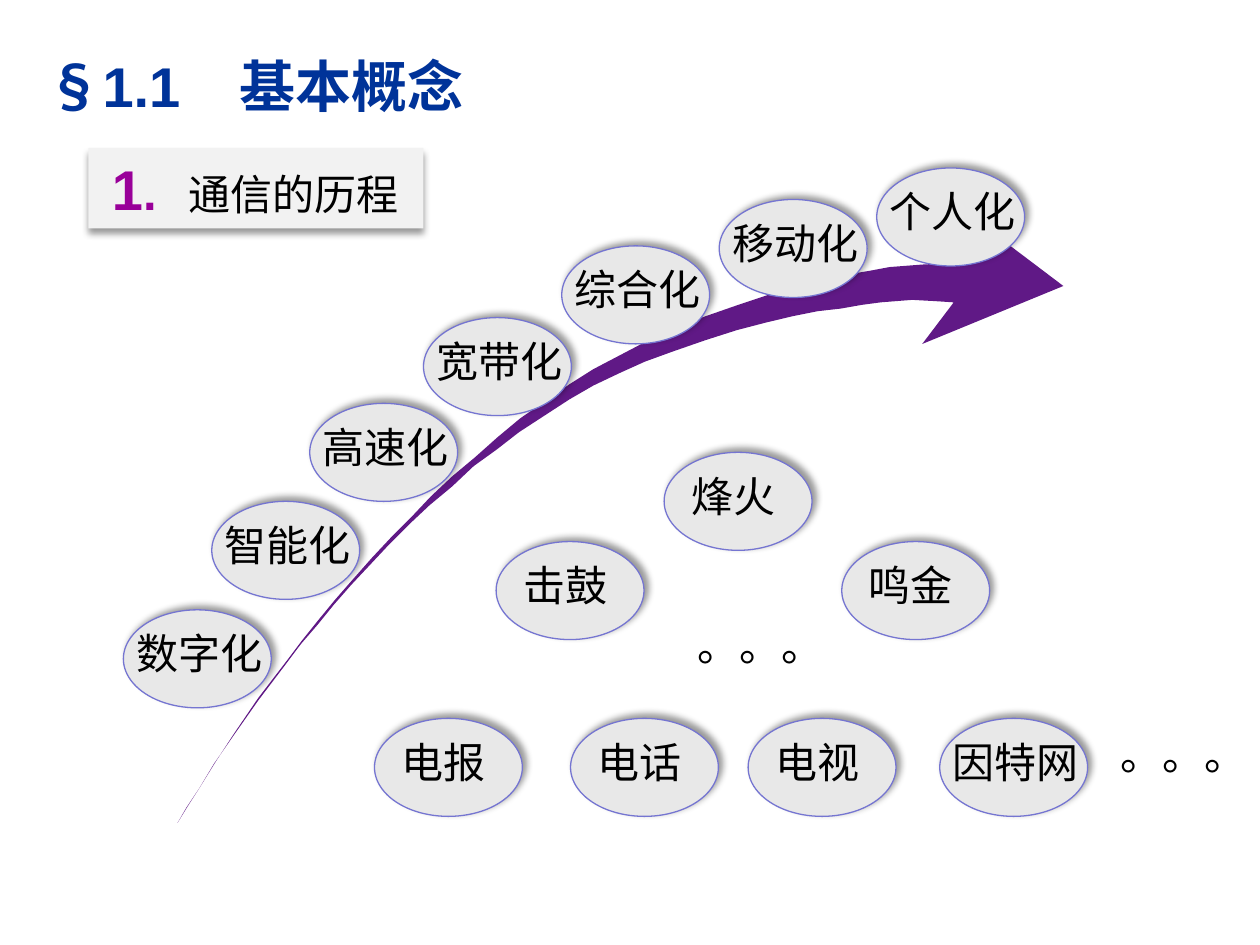
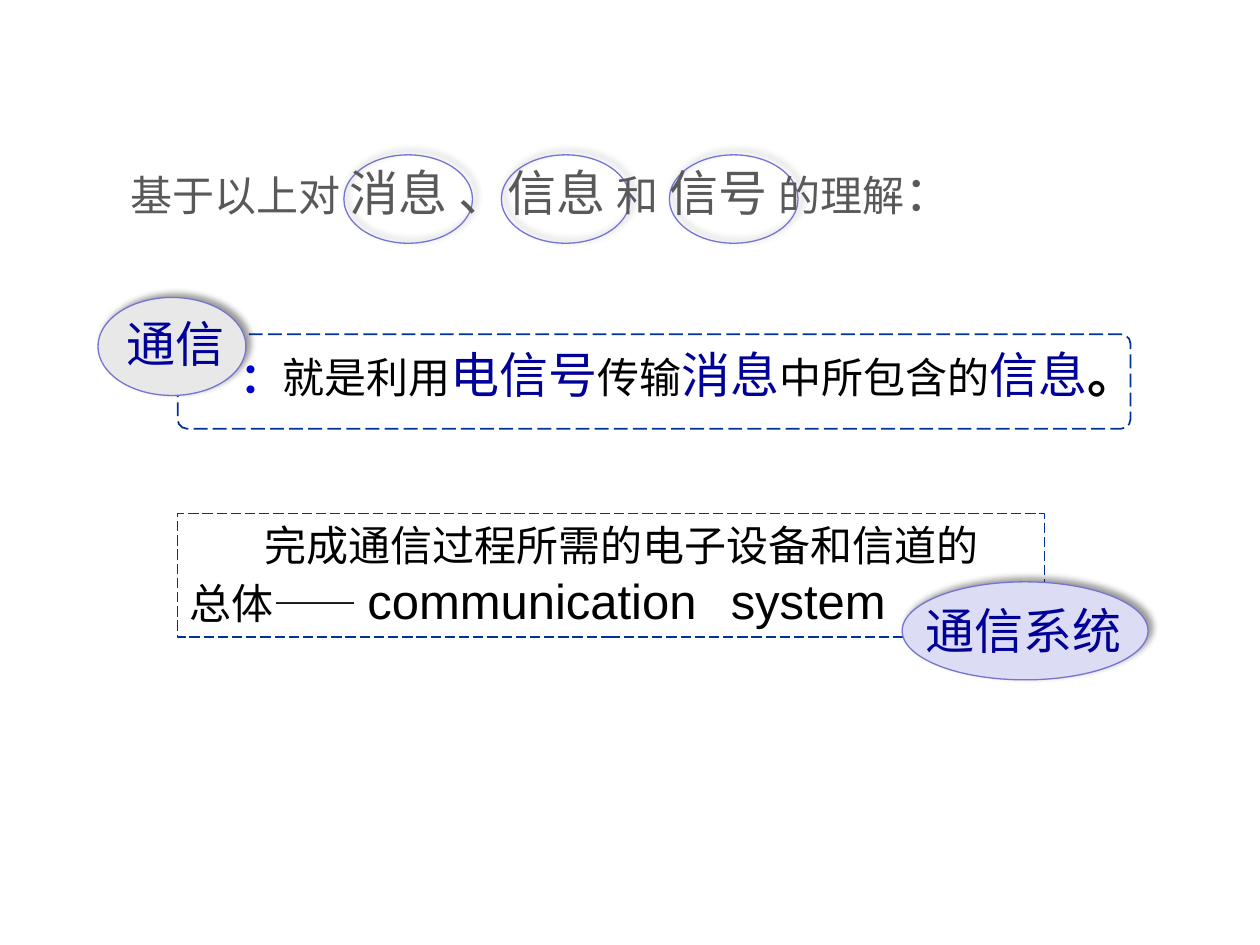
from lxml import etree
from pptx import Presentation
from pptx.dml.color import RGBColor
from pptx.enum import dml, shapes, text
from pptx.oxml import ns
from pptx.util import Pt

NAVY = RGBColor(0x00, 0x33, 0x99)
INK = RGBColor(0x00, 0x00, 0x99)
BLUE = RGBColor(0x00, 0x00, 0xCC)
BLACK = RGBColor(0, 0, 0)
GREY = RGBColor(0x59, 0x59, 0x59)
WHITE = RGBColor(255, 255, 255)
SILVER = RGBColor(0xE8, 0xE8, 0xE8)
PALE = RGBColor(0xF2, 0xF2, 0xF2)
LILAC = RGBColor(0xDC, 0xDC, 0xF4)
EDGE = RGBColor(0x75, 0x75, 0xD1)
PLUM = RGBColor(0x99, 0x00, 0x99)
PURPLE = RGBColor(0x60, 0x19, 0x86)
HAN, LATIN, ROUND = "Noto Sans CJK SC", "Arial", "Cabin"
OVAL = shapes.MSO_SHAPE.OVAL
CENTER = text.PP_ALIGN.CENTER


def draw(slide, kind, box, fill=None, edge=EDGE, wide=0.75, angle=None):
    """Add a preset shape; angle is the direction of its shadow."""
    shape = slide.shapes.add_shape(kind, *[Pt(v) for v in box])
    shape.shadow.inherit = False
    if fill is None:
        shape.fill.background()
    else:
        shape.fill.solid()
        shape.fill.fore_color.rgb = fill
    if edge is None:
        shape.line.fill.background()
    else:
        shape.line.color.rgb = edge
        shape.line.width = Pt(wide)
    if angle is not None:
        glow = shape._element.spPr.find(ns.qn("a:effectLst"))
        outer = etree.SubElement(glow, ns.qn("a:outerShdw"), blurRad=str(Pt(4)),
                                 dist=str(Pt(3)), dir=str(angle * 60000),
                                 algn="ctr", rotWithShape="0")
        tone = etree.SubElement(outer, ns.qn("a:srgbClr"), val="000000")
        etree.SubElement(tone, ns.qn("a:alpha"), val="40000")
    return shape


def write(host, lines, wrap=True, align=None, space=None, tab=None,
          anchor=text.MSO_ANCHOR.TOP):
    """Fill a shape with lines of (text, size, colour, font, bold) runs."""
    frame = host.text_frame
    frame.word_wrap = wrap
    frame.vertical_anchor = anchor
    for i, runs in enumerate(lines):
        para = frame.add_paragraph() if i else frame.paragraphs[0]
        para.alignment = align or text.PP_ALIGN.LEFT
        if space:
            para.line_spacing = space
        if tab:
            tabs = etree.SubElement(para._p.get_or_add_pPr(), ns.qn("a:tabLst"))
            etree.SubElement(tabs, ns.qn("a:tab"), pos=str(Pt(tab)), algn="l")
        for words, size, tint, face, bold in runs:
            run = para.add_run()
            run.text = words
            run.font.size = Pt(size)
            run.font.color.rgb = tint
            run.font.name = face
            run.font.bold = bold
            etree.SubElement(run._r.rPr, ns.qn("a:ea"), typeface=HAN)
    return frame


deck = Presentation()
deck.slide_width, deck.slide_height = Pt(720), Pt(540)
blank = deck.slide_layouts[6]

# Slide 1: history of communication
page = deck.slides.add_slide(blank)

# Swept arrow, in steps of 0.72 pt
sweep = [
    (534, 279), (560, 270), (585, 262), (608, 256), (629, 251), (649, 247),
    (667, 245), (684, 242), (699, 240), (724, 238), (742, 239), (757, 240),
    (732, 273), (844, 227), (762, 165), (767, 210), (751, 209), (732, 210),
    (706, 212), (690, 215), (672, 218), (653, 222), (633, 228), (610, 234),
    (586, 242), (560, 251), (534, 261), (513, 271), (492, 282), (471, 293),
    (452, 305), (432, 319), (413, 332), (395, 347), (377, 363), (359, 378),
    (342, 394), (326, 411), (310, 427), (295, 443), (280, 460), (266, 476),
    (252, 493), (240, 508), (228, 524), (205, 554), (186, 582), (171, 605),
    (158, 626), (149, 640), (141, 653), (148, 641), (158, 626), (170, 606),
    (186, 583), (205, 556), (227, 527), (239, 511), (252, 496), (265, 480),
    (279, 464), (294, 448), (309, 432), (325, 416), (341, 401), (359, 386),
    (376, 370), (394, 357), (412, 343), (432, 330), (452, 317), (471, 306),
    (492, 296), (512, 287)]
pen = page.shapes.build_freeform(*sweep[0], scale=Pt(0.72))
pen.add_line_segments(sweep[1:], close=True)
arrow = pen.convert_to_shape()
arrow.shadow.inherit = False
arrow.fill.solid()
arrow.fill.fore_color.rgb = PURPLE
arrow.line.fill.background()

# Title
head = page.shapes.add_textbox(Pt(19.5), Pt(26), Pt(264), Pt(45))
write(head, [[("§", 32, NAVY, HAN, True), ("1.1\t", 32, NAVY, LATIN, True),
              ("基本概念", 32, NAVY, HAN, True)]], tab=110.5)

# Bubbles: trends along the arrow, then old and modern means
bubbles = [
    ("击鼓", 283.5, 309.5), ("鸣金", 481, 309.5), ("烽火", 379.5, 258.5),
    ("电报", 214, 410.5), ("电话", 326, 410.5), ("电视", 427.5, 410.5),
    ("因特网", 537, 410.5), ("数字化", 70.5, 348.5), ("智能化", 121, 286.5),
    ("高速化", 177, 230.5), ("宽带化", 242, 181.5), ("综合化", 321, 140.5),
    ("移动化", 411, 114), ("个人化", 501, 96)]
labels = [("。。。", 633, 416), ("。。。", 391, 354)]
for name, x, y in bubbles:
    draw(page, OVAL, (x, y, 84.5, 56), SILVER, angle=315)
    labels.append((name, x + (8 if len(name) == 2 else 0), y + 10))
for name, x, y in labels:
    tag = page.shapes.add_textbox(Pt(x), Pt(y), Pt(15 + 24 * len(name)), Pt(33))
    write(tag, [[(name, 24, BLACK, HAN, False)]], False, CENTER, 0.9)

# Section label
card = draw(page, shapes.MSO_SHAPE.RECTANGLE, (50.5, 84.5, 191.5, 46), PALE, None,
            angle=90)
frame = write(card, [[("1", 32, PLUM, LATIN, True), (".\t", 28, PLUM, LATIN, True),
                      ("通信的历程", 24, BLACK, HAN, False)]], tab=43.5)
frame.margin_left = Pt(13.5)

# Slide 2: definitions
page = deck.slides.add_slide(blank)

# Opening line with ringed words
for x in (286.5, 382.5, 196.5):
    draw(page, OVAL, (x, 88.5, 73.5, 50.5), angle=315)
lead = page.shapes.add_textbox(Pt(67.5), Pt(89.5), Pt(519), Pt(41))
parts = [("基于以上对 ", 24), ("消息 、信息 ", 28), ("和", 24), (" 信号 ", 28),
         ("的理解", 24), ("：", 28)]
write(lead, [[(words, size, GREY, HAN, False) for words, size in parts]], False)

# Communication
panel = draw(page, shapes.MSO_SHAPE.ROUNDED_RECTANGLE, (101.5, 191, 544.5, 54), WHITE,
             NAVY, 1)
panel.adjustments[0] = 0.1
panel.line.dash_style = dml.MSO_LINE.LONG_DASH
tone = panel._element.spPr.find(ns.qn("a:solidFill"))[0]
etree.SubElement(tone, ns.qn("a:alpha"), val="90000")
body = page.shapes.add_textbox(Pt(134), Pt(191), Pt(524), Pt(49))
parts = ["就是利用", "电信号", "传输", "消息", "中所包含的", "信息"]
runs = [("：", 24, BLUE, HAN, True)]
for i, words in enumerate(parts):
    size, tint = (28, INK) if i % 2 else (24, BLACK)
    runs.append((words, size, tint, HAN, False))
runs.append(("。", 28, BLACK, ROUND, True))
frame = write(body, [runs], space=0.9, anchor=text.MSO_ANCHOR.MIDDLE)
frame.margin_left = frame.margin_right = Pt(3.6)
frame.margin_top = frame.margin_bottom = Pt(2.9)
draw(page, OVAL, (56, 170, 84.5, 56), SILVER, angle=315)
tag = page.shapes.add_textbox(Pt(65), Pt(179.5), Pt(71), Pt(37.5))
write(tag, [[("通信", 28, INK, HAN, False)]], False, CENTER, 0.9)

# Communication system
panel = draw(page, shapes.MSO_SHAPE.RECTANGLE, (101.5, 293.5, 495.5, 70.5), None, NAVY)
panel.line.dash_style = dml.MSO_LINE.LONG_DASH
frame = write(panel, [
    [("完成通信过程所需的电子设备和信道的", 24, BLACK, LATIN, False)],
    [("总体—— ", 24, BLACK, LATIN, False),
     ("communication\tsystem", 28, BLACK, LATIN, False)]], tab=309)
frame.paragraphs[0]._p.get_or_add_pPr().set("indent", str(Pt(42.5)))
draw(page, OVAL, (515.5, 332.5, 140.5, 56), LILAC, angle=315)
tag = page.shapes.add_textbox(Pt(506), Pt(343.5), Pt(158), Pt(38))
write(tag, [[("通信系统", 28, INK, HAN, False)]], True, CENTER, 0.9)

deck.save("out.pptx")
